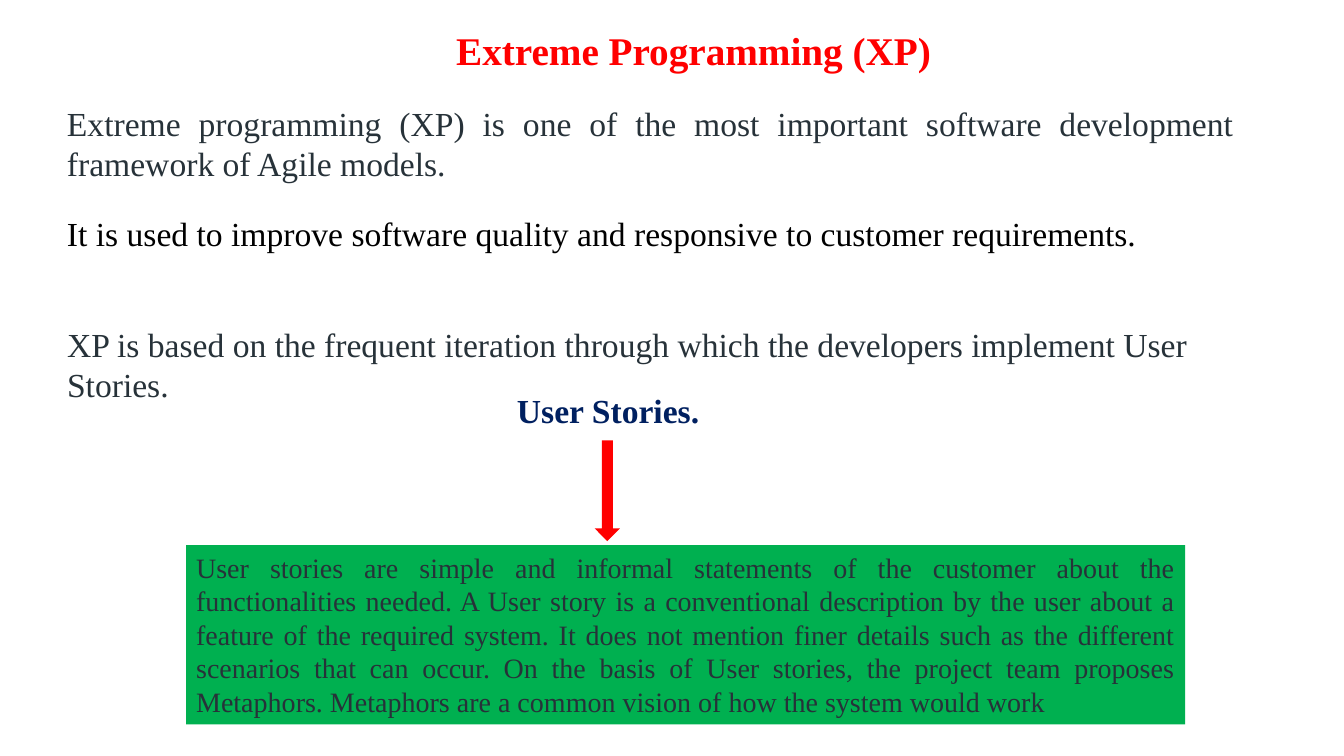
from dataclasses import dataclass

from lxml import etree
from pptx import Presentation
from pptx import util as u
from pptx.dml import color
from pptx.enum import shapes, text
from pptx.oxml import ns

FONT = "Times New Roman"
RED, GREEN, NAVY, SLATE, BLACK = "FF0000", "00B050", "002060", "273239", "000000"
LEFT, JUSTIFY = text.PP_ALIGN.LEFT, text.PP_ALIGN.JUSTIFY
MARGIN = 40.8


@dataclass
class Passage:
    wording: str
    left: float
    top: float
    width: float
    height: float
    size: int = 24
    ink: str = SLATE
    bold: bool = False
    wrap: bool = True
    align: text.PP_ALIGN = LEFT
    fill: str = ""


PASSAGES = [
    Passage("Extreme Programming (XP)", 318.8, 15.1, 357.1, 41.2,
            size=28, ink=RED, bold=True, wrap=False),
    Passage("Extreme programming (XP) is one of the most important software "
            "development framework of Agile models.",
            MARGIN, 69.8, 847.4, 65.5, align=JUSTIFY),
    Passage("It is used to improve software quality and responsive to customer "
            "requirements.", MARGIN, 148.7, 847.4, 36, ink=BLACK),
    Passage("XP is based on the frequent iteration through which the developers "
            "implement User Stories.", MARGIN, 227.5, 841.7, 65.5),
    Passage("User stories are simple and informal statements of the customer about "
            "the functionalities needed. A User story is a conventional description "
            "by the user about a feature of the required system. It does not mention "
            "finer details such as the different scenarios that can occur. On the "
            "basis of User stories, the project team proposes Metaphors. Metaphors "
            "are a common vision of how the system would work",
            133, 389.3, 713.5, 128.2, size=20, align=JUSTIFY, fill=GREEN),
    Passage("User Stories.", 362.2, 275, 146.2, 36, ink=NAVY, bold=True, wrap=False),
]


def rgb(code: str) -> color.RGBColor:
    return color.RGBColor.from_string(code)


def add_passage(slide, passage: Passage) -> None:
    """Add a text box, or a filled rectangle if the passage has a fill."""
    bounds = [u.Pt(n) for n in (passage.left, passage.top, passage.width, passage.height)]
    if passage.fill:
        box = slide.shapes.add_shape(shapes.MSO_SHAPE.RECTANGLE, *bounds)
        box.shadow.inherit = False
        box.fill.solid()
        box.fill.fore_color.rgb = rgb(passage.fill)
        box.line.fill.background()
    else:
        box = slide.shapes.add_textbox(*bounds)

    frame = box.text_frame
    frame_format = {
        "word_wrap": passage.wrap,
        "auto_size": text.MSO_AUTO_SIZE.SHAPE_TO_FIT_TEXT,
        "vertical_anchor": text.MSO_ANCHOR.TOP,
    }
    for attribute, value in frame_format.items():
        setattr(frame, attribute, value)

    paragraph = frame.paragraphs[0]
    paragraph.alignment = passage.align
    run = paragraph.add_run()
    run.text = passage.wording
    font_format = {"name": FONT, "size": u.Pt(passage.size), "bold": passage.bold}
    for attribute, value in font_format.items():
        setattr(run.font, attribute, value)
    run.font.color.rgb = rgb(passage.ink)


def add_story_arrow(slide) -> None:
    """Add the narrow arrow; its thick outline needs sharp corners to show a head."""
    arrow = slide.shapes.add_shape(shapes.MSO_SHAPE.DOWN_ARROW,
                                   u.Pt(432), u.Pt(317.5), u.Pt(3.6), u.Pt(64.8))
    arrow.shadow.inherit = False
    arrow.fill.solid()
    arrow.fill.fore_color.rgb = rgb(RED)
    arrow.line.color.rgb = rgb(RED)
    arrow.line.width = u.Pt(6)
    outline = arrow.element.spPr.find(ns.qn("a:ln"))
    etree.SubElement(outline, ns.qn("a:miter"), lim="800000")


def main() -> None:
    deck = Presentation()
    deck.slide_width, deck.slide_height = u.Pt(960), u.Pt(540)
    slide = deck.slides.add_slide(deck.slide_layouts[6])
    *body, story_heading = PASSAGES
    for passage in body:
        add_passage(slide, passage)
    add_story_arrow(slide)
    add_passage(slide, story_heading)
    deck.save("out.pptx")


if __name__ == "__main__":
    main()
